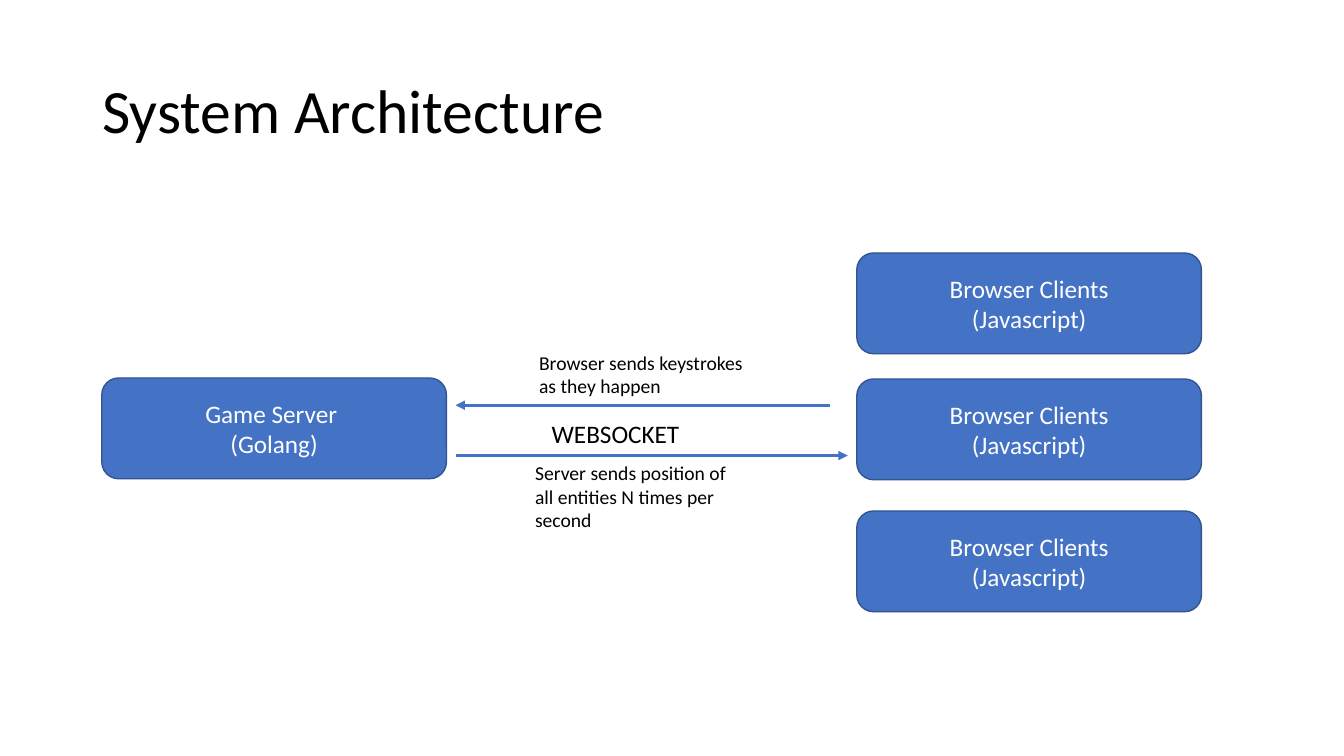
from lxml import etree
from pptx import Presentation
from pptx.dml.color import RGBColor
from pptx.enum.shapes import MSO_CONNECTOR, MSO_SHAPE
from pptx.enum.text import MSO_ANCHOR, PP_ALIGN
from pptx.oxml.ns import qn
from pptx.util import Pt

COLORS = {"blue": "4472C4", "outline": "325491", "white": "FFFFFF", "black": "000000"}
FONT = "Calibri"
BOX_WIDTH, BOX_HEIGHT = 246.2, 72

presentation = Presentation()
presentation.slide_width = Pt(960)
presentation.slide_height = Pt(540)
slide = presentation.slides.add_slide(presentation.slide_layouts[6])


def color(name):
    return RGBColor.from_string(COLORS[name])


def write_lines(shape, lines, size, color_name, alignment, anchor):
    frame = shape.text_frame
    frame.word_wrap = True
    frame.vertical_anchor = anchor
    for index, line in enumerate(lines):
        paragraph = frame.add_paragraph() if index else frame.paragraphs[0]
        paragraph.alignment = alignment
        run = paragraph.add_run()
        run.text = line
        run.font.name = FONT
        run.font.size = Pt(size)
        run.font.color.rgb = color(color_name)


# Title
title = slide.shapes.add_textbox(Pt(66), Pt(28.8), Pt(828), Pt(104.4))
write_lines(title, ["System Architecture"], 44, "black", PP_ALIGN.LEFT, MSO_ANCHOR.MIDDLE)
title.text_frame.paragraphs[0].line_spacing = 0.9

# Server and client boxes
client_lines = ["Browser Clients", "(Javascript)"]
boxes = [(72.7, 270, ["Game Server ", "(Golang)"])]
boxes += [(612, top, client_lines) for top in (180.7, 270.7, 365)]
for left, top, lines in boxes:
    box = slide.shapes.add_shape(
        MSO_SHAPE.ROUNDED_RECTANGLE, Pt(left), Pt(top), Pt(BOX_WIDTH), Pt(BOX_HEIGHT))
    box.shadow.inherit = False
    box.fill.solid()
    box.fill.fore_color.rgb = color("blue")
    box.line.color.rgb = color("outline")
    box.line.width = Pt(1)
    write_lines(box, lines, 18, "white", PP_ALIGN.CENTER, MSO_ANCHOR.MIDDLE)

# Arrows between server and clients
for start, end, y in [(325.4, 605.5, 325.4), (592.6, 325.4, 289.4)]:
    arrow = slide.shapes.add_connector(
        MSO_CONNECTOR.STRAIGHT, Pt(start), Pt(y), Pt(end), Pt(y))
    arrow.line.color.rgb = color("blue")
    arrow.line.width = Pt(2.25)
    etree.SubElement(arrow.line._get_or_add_ln(), qn("a:tailEnd"), type="triangle")
    etree.SubElement(arrow._element.spPr, qn("a:effectLst"))

# Arrow labels
labels = [
    (378, 247, 162.7, 41, 14, "Browser sends keystrokes as they happen"),
    (375.1, 325.8, 162.7, 58.3, 14, "Server sends position of all entities N times per second"),
    (386.9, 295.2, 186.5, 28.8, 18, "WEBSOCKET"),
]
for left, top, width, height, size, text in labels:
    label = slide.shapes.add_textbox(Pt(left), Pt(top), Pt(width), Pt(height))
    write_lines(label, [text], size, "black", PP_ALIGN.LEFT, MSO_ANCHOR.TOP)

presentation.save("out.pptx")
